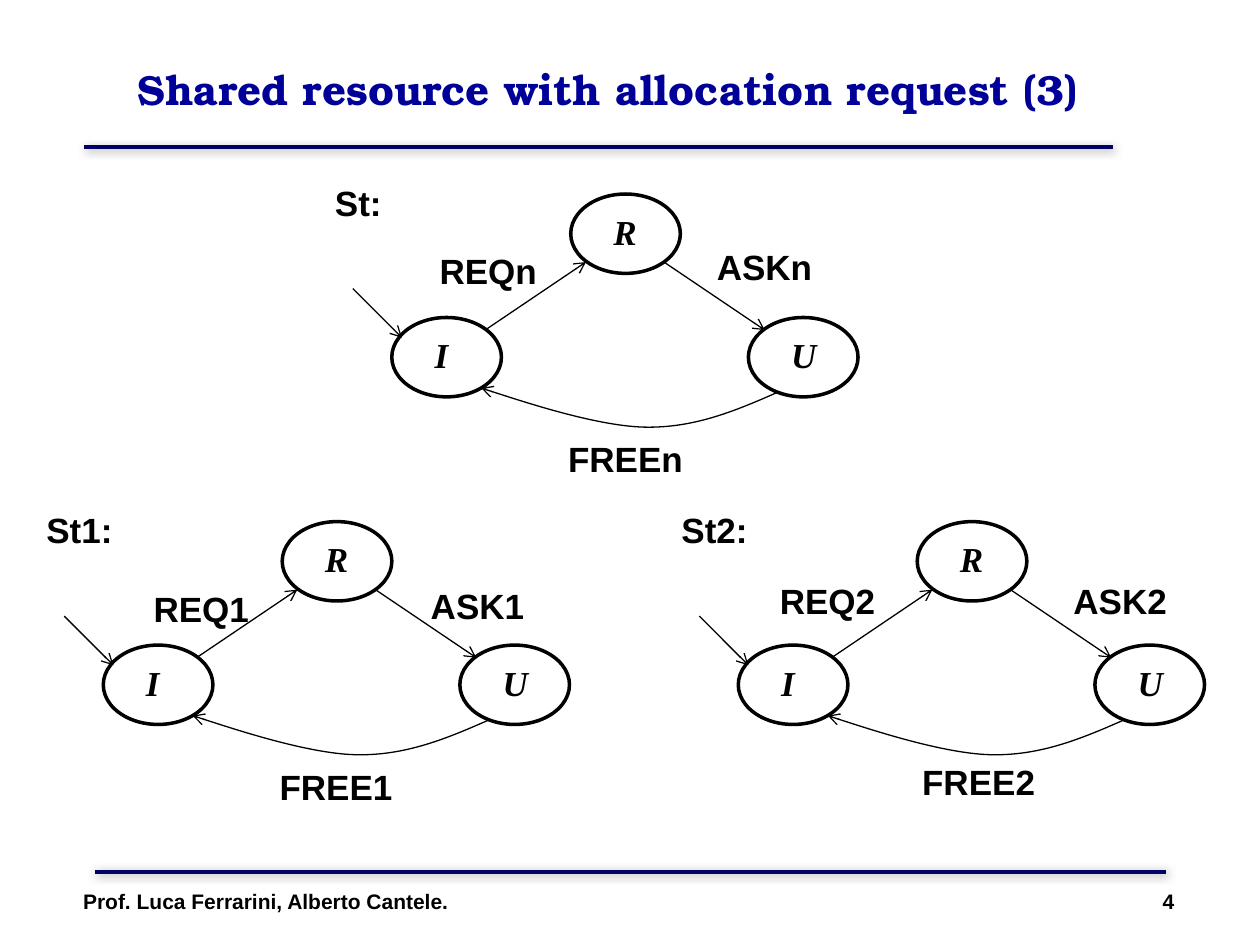
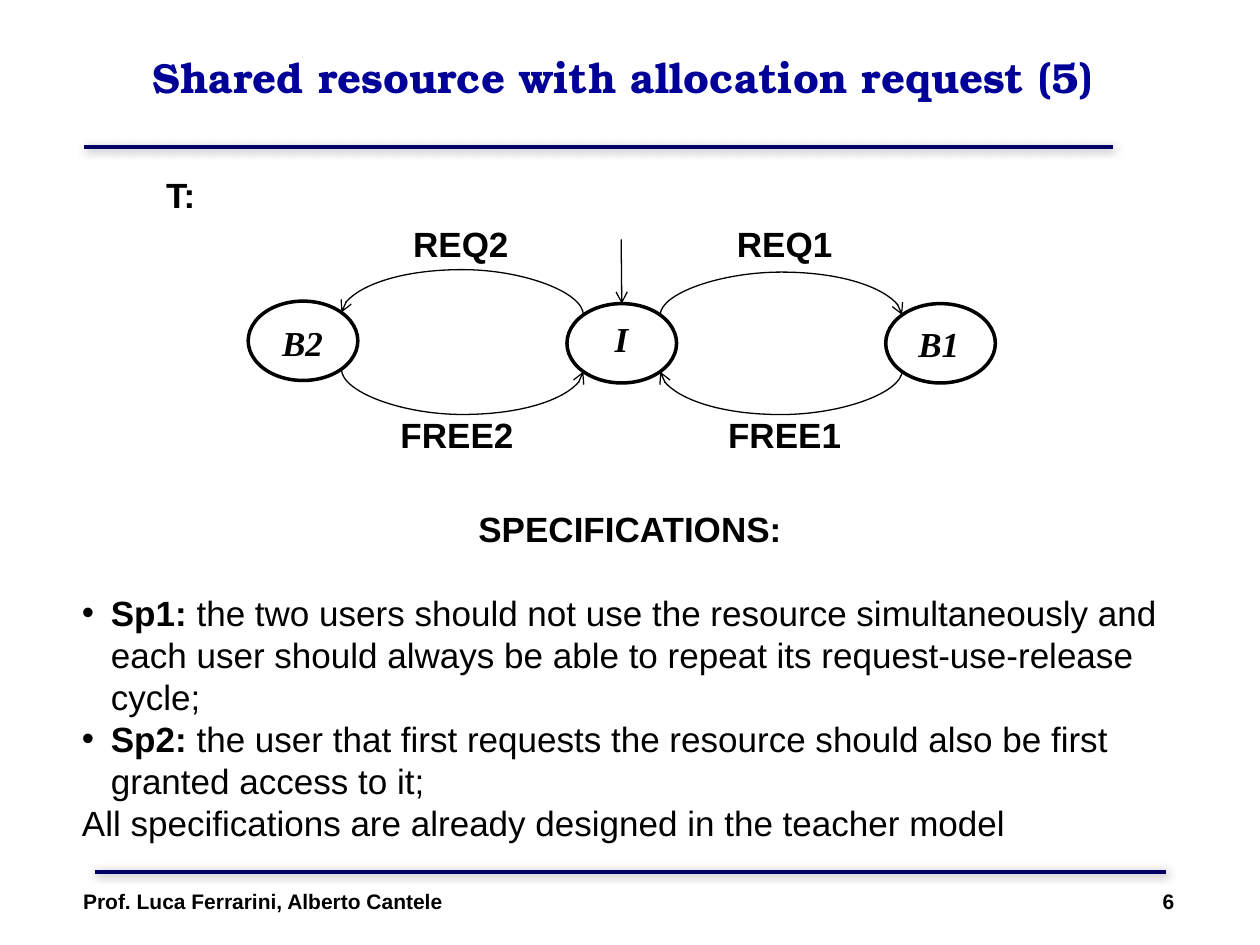
from lxml.etree import SubElement
from pptx import Presentation
from pptx.dml.color import RGBColor
from pptx.enum.shapes import MSO_CONNECTOR, MSO_SHAPE
from pptx.enum.text import MSO_ANCHOR, MSO_AUTO_SIZE, PP_ALIGN
from pptx.oxml.ns import qn
from pptx.util import Inches, Pt

BLACK = RGBColor(0x00, 0x00, 0x00)
WHITE = RGBColor(0xFF, 0xFF, 0xFF)
TITLE_BLUE = RGBColor(0x00, 0x00, 0x99)
RULE_NAVY = RGBColor(0x00, 0x00, 0x66)
SHADOW_GREY = RGBColor(0x80, 0x80, 0x80)
SANS, SERIF, TITLE_FONT = "Arial", "Times New Roman", "TeX Gyre Bonum"
STATE_WIDTH, STATE_HEIGHT = 0.87, 0.63


def write(paragraph, text, font=SANS, size=20, color=BLACK, bold=True, italic=False):
    """Append a formatted run to a paragraph."""
    run = paragraph.add_run()
    run.text = text
    run.font.name, run.font.size = font, Pt(size)
    run.font.bold, run.font.italic = bold, italic
    run.font.color.rgb = color


def add_text(shapes, text, left, top, width, height=0.44, **style):
    """Add a wrapped text box holding one formatted run."""
    box = shapes.add_textbox(Inches(left), Inches(top), Inches(width), Inches(height))
    box.text_frame.word_wrap = True
    write(box.text_frame.paragraphs[0], text, **style)
    return box


def add_line(shapes, start, end, color=BLACK, weight=0.75):
    """Add a straight line with no shadow and return it with its effect list."""
    points = [Inches(value) for value in (*start, *end)]
    line = shapes.add_connector(MSO_CONNECTOR.STRAIGHT, *points)
    line.line.color.rgb = color
    line.line.width = Pt(weight)
    effects = SubElement(line.element.spPr, qn("a:effectLst"))
    return line, effects


def point_arrow(line):
    """Put an open arrowhead at the end of a line."""
    outline = line.element.spPr.find(qn("a:ln"))
    SubElement(outline, qn("a:tailEnd"), type="arrow")


def add_rule(shapes, start, end):
    """Add a navy rule with a soft grey shadow."""
    _, effects = add_line(shapes, start, end, RULE_NAVY, 2.25)
    shadow = SubElement(effects, qn("a:outerShdw"), blurRad=str(Pt(5)),
                        dist=str(Pt(1.4)), dir="2700000", algn="tl", rotWithShape="0")
    grey = SubElement(shadow, qn("a:srgbClr"), val=str(SHADOW_GREY))
    SubElement(grey, qn("a:alpha"), val="75000")


def add_frame(slide, title, title_left, title_top, author, number):
    """Fill in the title, the two rules and the footer of a slide."""
    heading = slide.shapes.title
    heading.left, heading.top = Inches(title_left), Inches(title_top)
    heading.width, heading.height = Inches(8.5), Inches(1.25)
    heading.text_frame.vertical_anchor = MSO_ANCHOR.MIDDLE
    heading.text_frame.paragraphs[0].alignment = PP_ALIGN.CENTER
    write(heading.text_frame.paragraphs[0], title, font=TITLE_FONT, size=24, color=TITLE_BLUE)
    add_rule(slide.shapes, (0.67, 1.17), (8.83, 1.17))
    add_rule(slide.shapes, (0.75, 6.92), (9.25, 6.92))
    footer = add_text(slide.shapes, f"{author}\t{number}", 0.33, 7, 9.33, 0.5, size=12)
    footer.text_frame.margin_left = Inches(0.33)
    properties = footer.text_frame.paragraphs[0]._p.get_or_add_pPr()
    tabs = SubElement(properties, qn("a:tabLst"))
    SubElement(tabs, qn("a:tab"), pos=str(Inches(8.66)), algn="r")


class Automaton:
    """A grouped state diagram placed relative to its top left corner."""

    def __init__(self, slide, left, top, name):
        """Open the group and write the name of the automaton."""
        self.shapes = slide.shapes.add_group_shape().shapes
        self.left, self.top = left, top
        self.label(name, 0, 0, width=1.5)

    def at(self, point):
        """Return a point of the diagram in slide inches."""
        return self.left + point[0], self.top + point[1]

    def label(self, text, x, y, width=1.18, **style):
        """Write a label."""
        add_text(self.shapes, text, *self.at((x, y)), width, **style)

    def state(self, letter, x, y, letter_x=0.24, letter_y=0.08):
        """Draw a state as an ellipse with its letter."""
        left, top = self.at((x, y))
        ellipse = self.shapes.add_shape(MSO_SHAPE.OVAL, Inches(left), Inches(top),
                                        Inches(STATE_WIDTH), Inches(STATE_HEIGHT))
        ellipse.shadow.inherit = False
        ellipse.fill.solid()
        ellipse.fill.fore_color.rgb = WHITE
        ellipse.line.color.rgb = BLACK
        ellipse.line.width = Pt(2)
        self.label(letter, x + letter_x, y + letter_y, width=0.55, font=SERIF, italic=True)
        return ellipse

    def arrow(self, start, end):
        """Draw a straight transition."""
        line, _ = add_line(self.shapes, self.at(start), self.at(end))
        point_arrow(line)
        return line

    def curve(self, start, *bends):
        """Draw a curved transition; each bend is two control points and a knot."""
        def emu(point):
            return tuple(Inches(value) for value in self.at(point))

        builder = self.shapes.build_freeform(*emu(start))
        builder.add_line_segments([emu(bend[-1]) for bend in bends], close=False)
        transition = builder.convert_to_shape()
        transition.shadow.inherit = False
        transition.fill.background()
        transition.line.color.rgb = BLACK
        transition.line.width = Pt(0.75)
        point_arrow(transition)
        outline = next(transition.element.iter(qn("a:path")))
        for segment in outline.findall(qn("a:lnTo")):
            outline.remove(segment)
        for bend in bends:
            cubic = SubElement(outline, qn("a:cubicBezTo"))
            for x, y in map(emu, bend):
                SubElement(cubic, qn("a:pt"), x=str(x - transition.left),
                           y=str(y - transition.top))

    def arc(self, start, end, peak):
        """Draw a curved transition that turns around at the height of its peak."""
        (x1, y1), (x2, y2) = start, end
        quarter = (x2 - x1) / 4
        self.curve(start,
                   ((x1, (y1 + peak) / 2), (x1 + quarter, peak), (x1 + 2 * quarter, peak)),
                   ((x2 - quarter, peak), (x2, (y2 + peak) / 2), end))


def add_user_model(slide, left, top, name, suffix, request, ask, free):
    """Draw the idle, request and use cycle of one user."""
    user = Automaton(slide, left, top, name)
    user.state("I", 0.55, 1.13)
    user.state("R", 1.97, 0.15)
    user.state("U", 3.38, 1.13)
    user.arrow((0.24, 0.9), (0.63, 1.29))
    user.arrow((1.29, 1.23), (2.09, 0.69))
    user.arrow((2.71, 0.69), (3.51, 1.23))
    user.curve((3.62, 1.72), ((3.28, 1.87), (2.95, 2.01), (2.55, 2)),
               ((2.16, 1.99), (1.26, 1.69), (1.26, 1.69)))
    for event, place in (("REQ", request), ("ASK", ask), ("FREE", free)):
        user.label(event + suffix, *place)


def add_teacher_model(slide, left, top):
    """Draw the resource automaton with one busy state for each user."""
    teacher = Automaton(slide, left, top, "T:")
    teacher.state("B2", 0.75, 1.06, 0.17, 0.11)
    idle = teacher.state("I", 3.28, 1.08, 0.28, 0.06)
    teacher.state("B1", 5.81, 1.08, 0.16, 0.1)
    teacher.arrow((3.71, 0.57), (3.71, 1.08)).end_connect(idle, 0)
    teacher.arc((4.02, 1.17), (5.94, 1.17), 0.83)
    teacher.arc((5.94, 1.61), (4.02, 1.62), 1.96)
    teacher.arc((3.41, 1.17), (1.49, 1.15), 0.81)
    teacher.arc((1.49, 1.6), (3.41, 1.62), 1.96)
    teacher.label("REQ2", 1.96, 0.39)
    teacher.label("REQ1", 4.53, 0.39)
    teacher.label("FREE2", 1.86, 1.9)
    teacher.label("FREE1", 4.46, 1.9)


def add_specifications(body, left, top, width, height):
    """Write the specification list in the body placeholder."""
    body.left, body.top = Inches(left), Inches(top)
    body.width, body.height = Inches(width), Inches(height)
    frame = body.text_frame
    frame.auto_size = MSO_AUTO_SIZE.NONE
    entries = [
        ("SPECIFICATIONS:", ""),
        ("Sp1: ", "the two users should not use the resource simultaneously and each user "
                  "should always be able to repeat its request-use-release cycle;"),
        ("Sp2: ", "the user that first requests the resource should also be first "
                  "granted access to it;"),
        ("", "All specifications are already designed in the teacher model"),
    ]
    for index, (lead, detail) in enumerate(entries):
        paragraph = frame.add_paragraph() if index else frame.paragraphs[0]
        paragraph.line_spacing = Pt(24)
        paragraph.space_before = Pt(0)
        paragraph.space_after = Pt(0 if index else 24)
        paragraph.alignment = PP_ALIGN.LEFT if index else PP_ALIGN.CENTER
        listed = bool(lead and detail)
        indent = Inches(0.23) if listed else 0
        properties = paragraph._p.get_or_add_pPr()
        properties.set("marL", str(indent))
        properties.set("indent", str(-indent))
        if listed:
            SubElement(properties, qn("a:buChar"), char="•")
        else:
            SubElement(properties, qn("a:buNone"))
        if lead:
            write(paragraph, lead)
        if detail:
            write(paragraph, detail, bold=False)


def build_users_slide(deck):
    """Build the slide with the generic user and the two users."""
    slide = deck.slides.add_slide(deck.slide_layouts[5])
    add_frame(slide, "Shared resource with allocation request (3) ", 0.63, 0.08,
              "Prof. Luca Ferrarini, Alberto Cantele.", 4)
    add_user_model(slide, 2.56, 1.39, "St:", "n", (0.83, 0.54), (3.03, 0.51), (1.85, 2.03))
    add_user_model(slide, 0.27, 3.99, "St1:", "1", (0.85, 0.62), (3.05, 0.6), (1.85, 2.04))
    add_user_model(slide, 5.31, 3.99, "St2:", "2", (0.78, 0.56), (3.11, 0.56), (1.91, 2))


def build_teacher_slide(deck):
    """Build the slide with the teacher model and the specifications."""
    slide = deck.slides.add_slide(deck.slide_layouts[1])
    add_frame(slide, "Shared resource with allocation request (5) ", 0.75, -0.02,
              "Prof. Luca Ferrarini, Alberto Cantele", 6)
    add_teacher_model(slide, 1.22, 1.33)
    add_specifications(slide.placeholders[1], 0.55, 3.98, 8.9, 3.13)


def main():
    """Build and save the deck."""
    deck = Presentation()
    deck.slide_width, deck.slide_height = Inches(10), Inches(7.5)
    build_users_slide(deck)
    build_teacher_slide(deck)
    deck.save("out.pptx")


if __name__ == "__main__":
    main()
